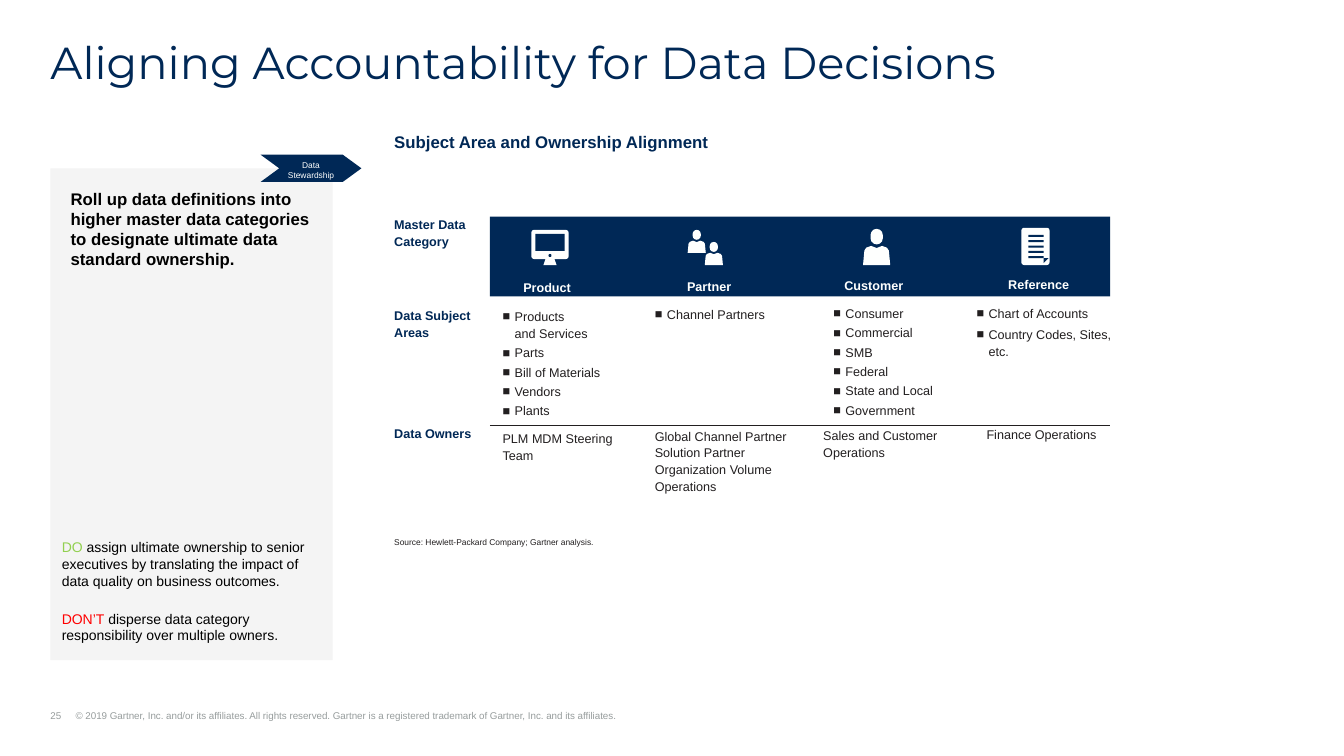
import pptx
import pptx.util
from lxml import etree
from pptx.dml.color import RGBColor
from pptx.enum.shapes import MSO_CONNECTOR, MSO_SHAPE
from pptx.enum.text import MSO_ANCHOR, PP_ALIGN
from pptx.oxml.ns import qn

NAVY = RGBColor(0x00, 0x28, 0x56)
INK = RGBColor(0x22, 0x1F, 0x20)
BLACK = RGBColor(0x00, 0x00, 0x00)
WHITE = RGBColor(0xFE, 0xFF, 0xFE)
PANEL_GREY = RGBColor(0xF4, 0xF4, 0xF4)
FOOTER_GREY = RGBColor(0x97, 0x9D, 0x9D)
DO_GREEN = RGBColor(0x92, 0xD0, 0x50)
DONT_RED = RGBColor(0xFF, 0x00, 0x00)

CELL = pptx.util.Inches(0.1)  # all positions are columns and rows of this grid
MARGIN, LABEL_LEFT, MATRIX_LEFT, MATRIX_WIDTH = 5, 39.1, 48.6, 61.5
BAND_TOP, BAND_HEIGHT, OWNER_RULE = 21.5, 7.9, 42.2

# Category, its label spot, subject areas, their box, wrapped item, owner, its box
CATEGORIES = [
    ("Product", (51.9, 27.8),
     ["Products\vand Services", "Parts", "Bill of Materials", "Vendors", "Plants"],
     (49.85, 30.5, 10.5, 10), 0,
     "PLM MDM Steering Team", (49.85, 42.6, 11.7, 3.3)),
    ("Partner", (68.15, 27.65),
     ["Channel Partners"], (64.95, 30.45, 11.6, 1.7), None,
     "Global Channel Partner Solution Partner\vOrganization Volume Operations",
     (64.95, 42.35, 14.4, 6.7)),
    ("Customer", (83.75, 27.55),
     ["Consumer", "Commercial", "SMB", "Federal", "State and Local", "Government"],
     (82.65, 30.35, 10.5, 10), None,
     "Sales and Customer Operations", (81.65, 42.3, 12.5, 3.3)),
    ("Reference", (100, 27.5),
     ["Chart of Accounts", "Country Codes, Sites, etc."],
     (96.85, 30.35, 14.5, 5), 1,
     "Finance Operations", (97.85, 42.35, 13, 1.7)),
]


def cells(*counts):
    return [round(count * CELL) for count in counts]


def style(paragraph, size, color, bold=False, font="Arial"):
    paragraph.font.name = font
    paragraph.font.size = pptx.util.Pt(size)
    paragraph.font.bold = bold
    paragraph.font.color.rgb = color


def hang(paragraph, columns):
    """Give the paragraph a hanging indent and return its properties."""
    properties = paragraph._p.get_or_add_pPr()
    indent = round(columns * CELL)
    properties.set("marL", str(indent))
    properties.set("indent", str(-indent))
    return properties


def add_square_bullet(paragraph):
    properties = hang(paragraph, 1.2)
    color = etree.SubElement(properties, qn("a:buClr"))
    etree.SubElement(color, qn("a:srgbClr"), val=str(INK))
    etree.SubElement(properties, qn("a:buFont"), typeface="Arial")
    etree.SubElement(properties, qn("a:buChar"), char="■")


def set_insets(frame, left=0, top=0, right=0, bottom=0):
    frame.margin_left, frame.margin_top, frame.margin_right, frame.margin_bottom = cells(
        left, top, right, bottom)


def add_frame(slide, box):
    frame = slide.shapes.add_textbox(*cells(*box)).text_frame
    frame.word_wrap = True
    set_insets(frame)
    return frame


def add_text(slide, box, text, size, color, bold=False, font="Arial", leading=None):
    paragraph = add_frame(slide, box).paragraphs[0]
    paragraph.text = text
    if leading:
        paragraph.line_spacing = leading
    style(paragraph, size, color, bold, font)


def add_bullets(slide, box, items, wrapped):
    frame = add_frame(slide, box)
    for index, item in enumerate(items):
        paragraph = frame.add_paragraph() if index else frame.paragraphs[0]
        paragraph.text = item
        add_square_bullet(paragraph)
        if index:
            paragraph.space_before = pptx.util.Pt(3)
        if index == wrapped:
            paragraph.line_spacing = pptx.util.Pt(12)
        style(paragraph, 9, INK)


def paint(shape, color):
    shape.shadow.inherit = False
    shape.fill.solid()
    shape.fill.fore_color.rgb = color
    shape.line.fill.background()
    return shape


def add_block(slide, box, color, kind=MSO_SHAPE.RECTANGLE, rounding=None):
    block = paint(slide.shapes.add_shape(kind, *cells(*box)), color)
    if rounding is not None:
        block.adjustments[0] = rounding
    return block


def add_outline(slide, points, color):
    corners = [cells(*point) for point in points]
    builder = slide.shapes.build_freeform(*corners[0])
    builder.add_line_segments(corners[1:], close=True)
    return paint(builder.convert_to_shape(), color)


def add_person(slide, left, top, width, height):
    head = 0.45 * width
    add_block(slide, (left + (width - head) / 2, top, head, 0.43 * height), WHITE,
              MSO_SHAPE.ROUNDED_RECTANGLE, 0.5)
    middle, shoulder, bottom = left + width / 2, top + 0.47 * height, top + height
    add_outline(slide, [
        (left, bottom), (left + 0.05 * width, top + 0.6 * height),
        (left + 0.12 * width, top + 0.52 * height), (left + 0.3 * width, shoulder),
        (middle, shoulder + 0.06 * height), (left + 0.7 * width, shoulder),
        (left + 0.88 * width, top + 0.52 * height),
        (left + 0.95 * width, top + 0.6 * height), (left + width, bottom)], WHITE)


def add_monitor(slide):
    add_block(slide, (52.7, 22.8, 3.7, 2.9), WHITE, MSO_SHAPE.ROUNDED_RECTANGLE, 0.1)
    add_block(slide, (53.1, 23.2, 2.9, 1.7), NAVY)
    add_block(slide, (54.4, 25.2, 0.3, 0.3), NAVY, MSO_SHAPE.OVAL)
    add_outline(slide, [(54.1, 25.7), (55, 25.7), (55.2, 26.3), (53.9, 26.3)], WHITE)


def add_document(slide):
    add_block(slide, (101.3, 22.6, 2.8, 3.7), WHITE, MSO_SHAPE.ROUNDED_RECTANGLE, 0.1)
    for row in range(5):
        add_block(slide, (102, 23.3 + 0.53 * row, 1.5, 0.2), NAVY)
    add_outline(slide, [(103.5, 26.1), (103.5, 25.6), (104, 25.6)], NAVY)


def add_advice_panel(slide):
    panel = add_block(slide, (MARGIN, 16.7, 28, 48.8), PANEL_GREY).text_frame
    panel.word_wrap = True
    panel.vertical_anchor = MSO_ANCHOR.TOP
    set_insets(panel, 2, 2, 1, 2)
    summary = panel.paragraphs[0]
    summary.text = ("Roll up data definitions into higher master data categories "
                    "to designate ultimate data standard ownership.")
    summary.alignment = PP_ALIGN.LEFT
    style(summary, 12, BLACK, bold=True)

    advice = add_frame(slide, (5.15, 52.95, 28, 11.9))
    set_insets(advice, 1, 0.5, 1, 0.5)
    rules = [
        ("DO", DO_GREEN, " assign ultimate ownership to senior executives by translating "
                         "the impact of data quality on business outcomes."),
        ("DON’T", DONT_RED, " disperse data category responsibility over multiple owners."),
    ]
    for index, (verb, verb_color, rest) in enumerate(rules):
        paragraph = advice.add_paragraph() if index else advice.paragraphs[0]
        if index:
            paragraph.space_before = pptx.util.Pt(15)
        style(paragraph, 10, BLACK)
        for words, color in ((verb, verb_color), (rest, BLACK)):
            run = paragraph.add_run()
            run.text = words
            run.font.color.rgb = color


def add_stewardship_arrow(slide):
    arrow = add_outline(slide, [(34, 15.35), (35.85, 16.7), (34, 18.05),
                                (25.85, 18.05), (27.7, 16.7), (25.85, 15.35)], NAVY).text_frame
    arrow.word_wrap = True
    arrow.vertical_anchor = MSO_ANCHOR.TOP
    set_insets(arrow, 1, 0.5, 1, 0.5)
    arrow.text = "Data\nStewardship"
    for paragraph in arrow.paragraphs:
        paragraph.alignment = PP_ALIGN.CENTER
        style(paragraph, 6, WHITE)


def add_owner_rule(slide, left, right):
    rule = slide.shapes.add_connector(
        MSO_CONNECTOR.STRAIGHT, *cells(left, OWNER_RULE, right, OWNER_RULE))
    rule.line.color.rgb = INK
    rule.line.width = pptx.util.Pt(0.25)
    etree.SubElement(rule._element.spPr, qn("a:effectLst"))


def add_matrix(slide):
    add_block(slide, (MATRIX_LEFT, BAND_TOP, MATRIX_WIDTH, BAND_HEIGHT), NAVY)
    column = MATRIX_WIDTH / len(CATEGORIES)
    for index in range(len(CATEGORIES)):
        left = MATRIX_LEFT + index * column
        add_owner_rule(slide, left, left + column)
    add_monitor(slide)
    add_person(slide, 68.2, 22.8, 1.8, 2.3)
    add_person(slide, 69.9, 24, 1.8, 2.3)
    add_person(slide, 85.6, 22.7, 2.7, 3.6)
    add_document(slide)
    leading = pptx.util.Pt(12)
    for name, spot, areas, areas_box, wrapped, owner, owner_box in CATEGORIES:
        add_text(slide, (*spot, 8, 1.7), name, 9, WHITE, bold=True)
        add_bullets(slide, areas_box, areas, wrapped)
        owner_leading = None if owner == "Finance Operations" else leading
        add_text(slide, owner_box, owner, 9, INK, leading=owner_leading)
    for top, label, label_leading in ((21.35, "Master Data Category", leading),
                                      (30.4, "Data Subject Areas", leading),
                                      (42.25, "Data Owners", None)):
        add_text(slide, (LABEL_LEFT, top, 9.2, 3.3), label, 9, NAVY, bold=True,
                 leading=label_leading)


def add_footer(slide):
    frame = add_frame(slide, (MARGIN, 70.4, 79.9, 1.2))
    frame.vertical_anchor = MSO_ANCHOR.BOTTOM
    footer = frame.paragraphs[0]
    footer.text = ("25\t© 2019 Gartner, Inc. and/or its affiliates. All rights reserved."
                   " Gartner is a registered trademark of Gartner, Inc. and its affiliates.")
    tabs = etree.SubElement(hang(footer, 2.5), qn("a:tabLst"))
    etree.SubElement(tabs, qn("a:tab"), pos=str(round(2.5 * CELL)), algn="l")
    style(footer, 7, FOOTER_GREY)


def main():
    deck = pptx.Presentation()
    deck.slide_width, deck.slide_height = cells(133.3, 75)
    slide = deck.slides.add_slide(deck.slide_layouts[6])
    add_footer(slide)
    add_text(slide, (MARGIN, 4, 123.3, 4.8), "Aligning Accountability for Data Decisions",
             32, NAVY, font="Montserrat", leading=0.9)
    add_advice_panel(slide)
    add_text(slide, (LABEL_LEFT, 13.05, 32.4, 2), "Subject Area and Ownership Alignment",
             12, NAVY, bold=True)
    add_matrix(slide)
    add_text(slide, (LABEL_LEFT, 53.3, 25, 1.1),
             "Source: Hewlett-Packard Company; Gartner analysis.", 6, INK)
    add_stewardship_arrow(slide)
    deck.save("out.pptx")


if __name__ == "__main__":
    main()
